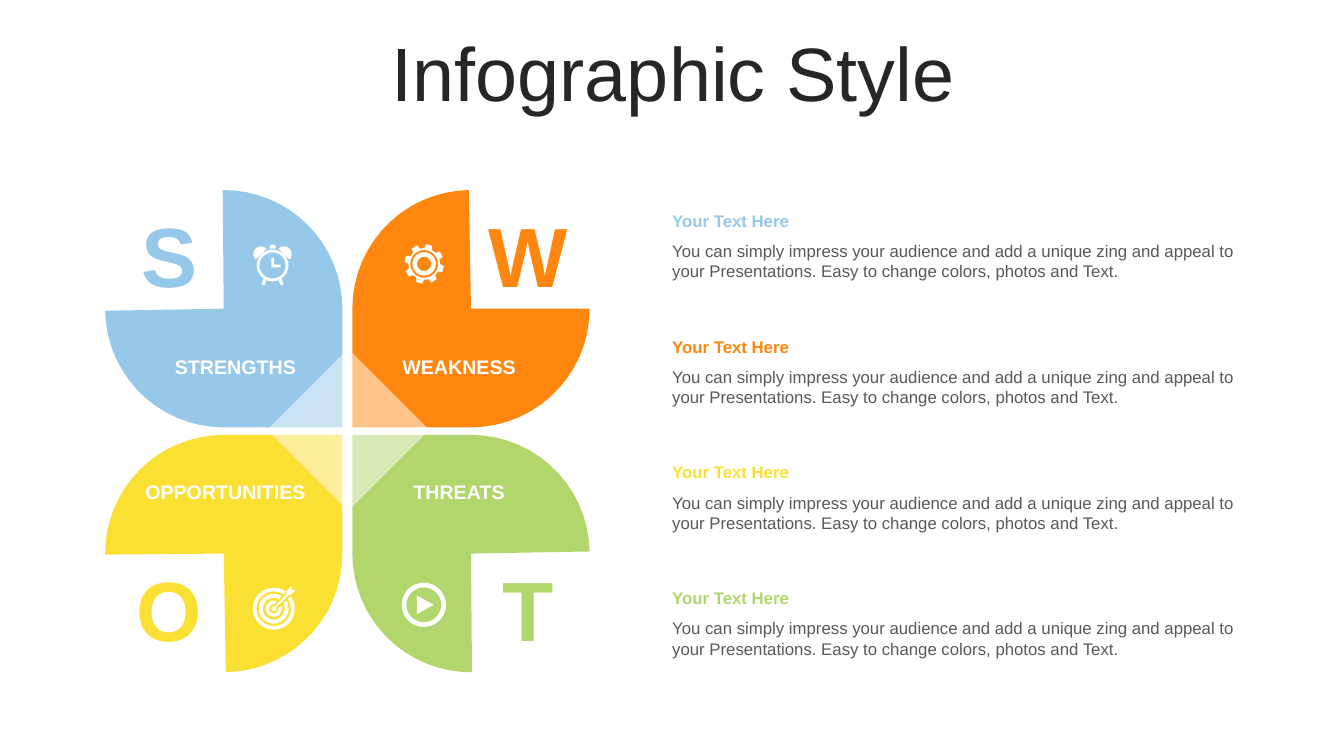
import math
import pptx
import pptx.util
import pptx.dml.color
import pptx.enum.shapes
import pptx.enum.text
from lxml import etree

Cm, Pt = pptx.util.Cm, pptx.util.Pt
SHAPE = pptx.enum.shapes.MSO_SHAPE
ALIGN = pptx.enum.text.PP_ALIGN
ANCHOR = pptx.enum.text.MSO_ANCHOR

# Content
COLORS = {"title": "262626", "body": "595959", "white": "FFFFFF", "strengths": "96C8E9",
          "weakness": "FF870F", "opportunities": "FBE034", "threats": "B0D66C"}
TITLE = "Infographic Style"
HEADING = "Your Text Here"
BODY = ("You can simply impress your audience and add a unique zing and appeal to "
        "your Presentations. Easy to change colors, photos and Text.")
# name: column, row, end angle of side arc, start angle of outer arc, label left and width
PETALS = {
    "strengths": (0, 0, 89, -0.5, 3.23, 5.41),
    "weakness": (1, 0, 90, 1, 8.89, 5.36),
    "opportunities": (0, 1, 90.5, 1, 2.74, 5.89),
    "threats": (1, 1, 89, -0.5, 8.89, 5.36),
}

# Layout in centimetres
RADIUS = 2.99
INNER_X, INNER_Y = (8.63, 8.88), (10.77, 10.96)
LETTER_X, LETTER_Y = (2.9, 11.94), (5, 13.92)
LABEL_Y = (8.86, 12.01)
TEXT_X, TEXT_Y, TEXT_W, TEXT_STEP = 16.69, 5.18, 14.76, 3.17
HEADING_H, BODY_H = 0.76, 1.27
ICON_UNITS_PER_CM = 40


def rgb(name):
    return pptx.dml.color.RGBColor.from_string(COLORS[name])


def arc(r, start, end, step, cx=0, cy=0):
    """Points on an arc; angles run clockwise from the top."""
    count = math.ceil((end - start) / step)
    angles = [math.radians(start + (end - start) * i / count) for i in range(count + 1)]
    return [(cx + r * math.sin(a), cy - r * math.cos(a)) for a in angles]


def mirror(points):
    return [(-x, y) for x, y in points]


# Icon outlines around their own centre
def clock_outline():
    leg = [(-9, 13), (-6, 15), (-8, 19.5), (-11, 19.5)]
    bell = arc(7.8, -135, 45, 20, -11.5, -11.5)
    hands = [(-1.3, -8), (1.6, -8), (1.6, -1), (8, -1), (8, 2), (-1.3, 2)]
    knob = [(-3, -17), (-3, -19.5), (-1.5, -21), (1.5, -21), (3, -19.5), (3, -17)]
    return [hands, knob, leg, mirror(leg), bell, mirror(bell)]


def gear_outline():
    teeth = []
    for i in range(8):
        for offset, r in ((-14, 16), (-9, 20), (9, 20), (14, 16)):
            a = math.radians(15 + 45 * i + offset)
            teeth.append((r * math.sin(a), -r * math.cos(a)))
    return [teeth, arc(14, 0, 360, 15)]


ARROW = [(0, -1), (13, -15), (13, -18), (18, -23), (18, -19),
         (22, -19), (17, -14), (15, -14), (1, 0)]
PLAY = [(-7, -9.5), (10, 0), (-7, 9.5)]
# centre, outlines, rings as (outer, inner radius), half width of the ring gap
ICONS = [
    (6.87, 6.69, clock_outline(), [(16, 13.2)], 0),
    (10.69, 6.65, gear_outline(), [(11.8, 7.3)], 0),
    (6.9, 15.34, [ARROW], [(21.2, 17.5), (15, 11), (8.3, 4.7), (2.5, 0)], 3.2),
    (10.68, 15.24, [PLAY], [(22.3, 17.6)], 0),
]


def paint(sp, color=None):
    sp.shadow.inherit = False
    sp.line.fill.background()
    if color:
        sp.fill.solid()
        sp.fill.fore_color.rgb = rgb(color)
    else:
        sp.fill.background()
    return sp


def add_preset(kind, box, color=None):
    return paint(slide.shapes.add_shape(kind, *map(Cm, box)), color)


def add_outline(contours, color):
    contours = [[(Cm(x), Cm(y)) for x, y in points] for points in contours]
    fb = slide.shapes.build_freeform(*contours[0][0])
    for i, points in enumerate(contours):
        if i:
            fb.move_to(*points[0])
        fb.add_line_segments(points[1:], close=True)
    paint(fb.convert_to_shape(), color)


def add_ring(cx, cy, outer, inner, gap):
    r = outer / ICON_UNITS_PER_CM
    kind = SHAPE.OVAL if not inner else SHAPE.BLOCK_ARC if gap else SHAPE.DONUT
    sp = add_preset(kind, (cx - r, cy - r, 2 * r, 2 * r), "white")
    thickness = (outer - inner) / (2 * outer)
    if kind == SHAPE.DONUT:
        sp.adjustments[0] = thickness
    elif kind == SHAPE.BLOCK_ARC:
        # Angles are stored in 60000ths of a degree, clockwise from the right
        half = math.degrees(math.asin(2 * gap / (outer + inner)))
        sp.adjustments[0] = (315 + half) % 360 * 0.6
        sp.adjustments[1] = (315 - half) * 0.6
        sp.adjustments[2] = thickness


def write(sp, text, size, color, bold=False, align=ALIGN.CENTER, anchor=ANCHOR.MIDDLE):
    tf = sp.text_frame
    tf.word_wrap = True
    tf.vertical_anchor = anchor
    p = tf.paragraphs[0]
    p.text = text
    p.alignment = align
    p.font.name, p.font.size, p.font.bold = "Arial", Pt(size), bold
    p.font.color.rgb = rgb(color)
    return p


def add_text(box, *args, **kwargs):
    return write(slide.shapes.add_textbox(*map(Cm, box)), *args, **kwargs)


prs = pptx.Presentation()
prs.slide_width, prs.slide_height = Cm(33.87), Cm(19.05)
slide = prs.slides.add_slide(prs.slide_layouts[6])

# Title
add_text((0.89, 0.94, 32.16, 2.01), TITLE, 54, "title").line_spacing = 0.9

# Petals
for name, (col, row, side_end, outer_start, left, width) in PETALS.items():
    x, y = INNER_X[col], INNER_Y[row]
    sx, sy = 2 * col - 1, 2 * row - 1
    cx, cy = x + sx * RADIUS, y + sy * RADIUS
    side = [(cx + sx * dx, cy + sy * dy) for dx, dy in arc(RADIUS, 0, side_end, 6)]
    outer = [(cx - sx * dx, cy - sy * dy) for dx, dy in arc(RADIUS, outer_start, 90, 6)]
    add_outline([[(x, y)] + side + [(cx, cy)] + outer], name)

# Letters and labels
for name, (col, row, side_end, outer_start, left, width) in PETALS.items():
    add_text((LETTER_X[col], LETTER_Y[row], 2.74, 2.82), name[0].upper(), 60, name, bold=True)
    sp = add_preset(SHAPE.ROUNDED_RECTANGLE, (left, LABEL_Y[row], width, 0.74))
    sp.adjustments[0] = 0.18
    write(sp, name.upper(), 14, "white", bold=True)

# Translucent centre diamond
sp = add_preset(SHAPE.DIAMOND, (6.73, 8.79, 4.09, 4.09), "white")
clr = sp.element.spPr.find(".//" + pptx.oxml.ns.qn("a:srgbClr"))
etree.SubElement(clr, pptx.oxml.ns.qn("a:alpha"), val="50000")

# Descriptions
for i, name in enumerate(PETALS):
    top = TEXT_Y + i * TEXT_STEP
    add_text((TEXT_X, top, TEXT_W, HEADING_H), HEADING, 12, name, bold=True,
             align=ALIGN.LEFT, anchor=ANCHOR.TOP)
    add_text((TEXT_X, top + HEADING_H, TEXT_W, BODY_H), BODY, 12, "body",
             align=ALIGN.LEFT, anchor=ANCHOR.TOP)

# Icons
for cx, cy, contours, rings, gap in ICONS:
    add_outline([[(cx + x / ICON_UNITS_PER_CM, cy + y / ICON_UNITS_PER_CM) for x, y in points]
                 for points in contours], "white")
    for outer, inner in rings:
        add_ring(cx, cy, outer, inner, gap)

prs.save("out.pptx")
